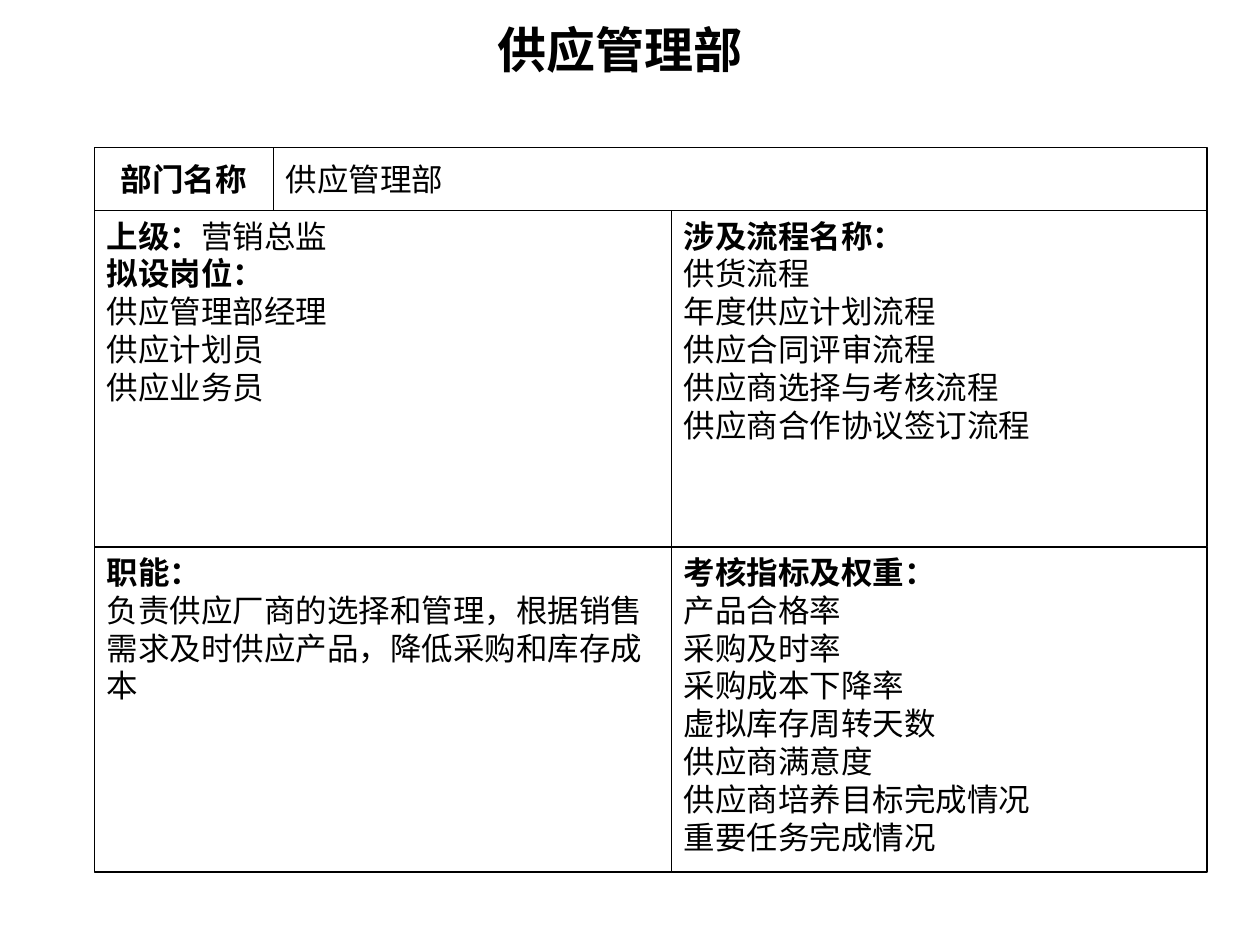
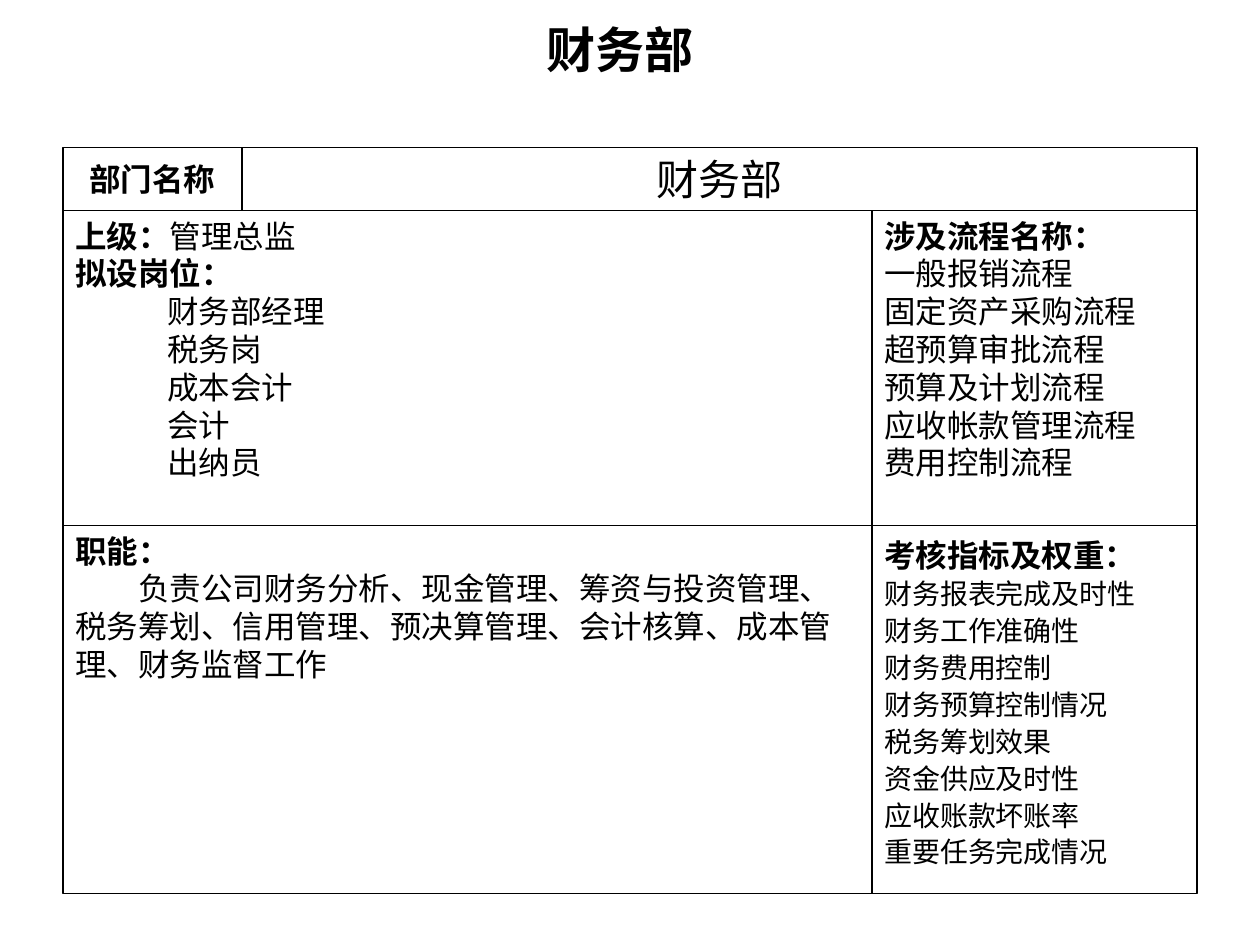
from pptx import Presentation
from pptx.dml.color import RGBColor
from pptx.enum.shapes import MSO_SHAPE as Shape
from pptx.enum.text import MSO_ANCHOR as Anchor, PP_ALIGN as Align
from pptx.oxml.ns import qn
from pptx.util import Inches, Pt

COLORS = {"paper": "FFFFFF", "ink": "000000"}
LATIN, CHINESE = "Times New Roman", "Noto Sans CJK SC"
BODY_SIZE = 18
LINE_HEIGHT = 1.2
CARD_TOP, HEADER_HEIGHT, LABEL_WIDTH = 1.17, 0.5, 1.42


def color(name):
    return RGBColor.from_string(COLORS[name])


def format_run(run, size, bold=False, font_name=LATIN):
    font = run.font
    font.name, font.size, font.bold = font_name, Pt(size), bold
    font.color.rgb = color("ink")
    east_asian = run._r.get_or_add_rPr().makeelement(qn("a:ea"), {"typeface": CHINESE})
    font._element.find(qn("a:latin")).addnext(east_asian)


def set_paragraph(paragraph, text, size=BODY_SIZE, bold=False, align=Align.LEFT,
                  font_name=LATIN, spacing=1.0, margin=0, first_line=0):
    paragraph.text = text
    paragraph.alignment = align
    paragraph.line_spacing = Pt(round(size * LINE_HEIGHT * spacing, 1))
    if margin or first_line:
        properties = paragraph._p.get_or_add_pPr()
        properties.set("marL", str(Inches(margin)))
        properties.set("indent", str(Inches(first_line)))
    for run in paragraph.runs:
        format_run(run, size, bold, font_name)


def add_cell(slide, left, top, width, height, anchor=Anchor.TOP):
    """Draw one outlined cell and return its text frame."""
    cell = slide.shapes.add_shape(
        Shape.RECTANGLE, Inches(left), Inches(top), Inches(width), Inches(height))
    cell.shadow.inherit = False
    cell.fill.solid()
    cell.fill.fore_color.rgb = color("paper")
    cell.line.color.rgb = color("ink")
    cell.line.width = Pt(0.75)
    text_frame = cell.text_frame
    text_frame.word_wrap = True
    text_frame.vertical_anchor = anchor
    return text_frame


def add_items(text_frame, items, **style):
    for item in items:
        set_paragraph(text_frame.add_paragraph(), item, **style)


def add_section(slide, box, heading, items, spacing=1.0, **style):
    """Fill a cell with a bold heading and plain lines below it."""
    text_frame = add_cell(slide, *box)
    set_paragraph(text_frame.paragraphs[0], heading, bold=True, spacing=spacing)
    add_items(text_frame, items, spacing=spacing, **style)


def add_positions(slide, box, superior, positions, margin):
    text_frame = add_cell(slide, *box)
    superior_line = text_frame.paragraphs[0]
    set_paragraph(superior_line, "上级：", bold=True)
    run = superior_line.add_run()
    run.text = superior
    format_run(run, BODY_SIZE)
    set_paragraph(text_frame.add_paragraph(), "拟设岗位：", bold=True)
    add_items(text_frame, positions, margin=margin)


def add_title(slide, title):
    text_box = slide.shapes.add_textbox(Inches(0.67), Inches(0.1), Inches(8.5), Inches(0.57))
    text_frame = text_box.text_frame
    text_frame.word_wrap = True
    text_frame.vertical_anchor = Anchor.MIDDLE
    set_paragraph(text_frame.paragraphs[0], title, size=28, bold=True,
                  align=Align.CENTER, font_name=CHINESE)


def add_header(slide, left, width, name, **name_style):
    label = add_cell(slide, left, CARD_TOP, LABEL_WIDTH, HEADER_HEIGHT, Anchor.MIDDLE)
    set_paragraph(label.paragraphs[0], "部门名称", bold=True, align=Align.CENTER)
    value = add_cell(slide, left + LABEL_WIDTH, CARD_TOP, width - LABEL_WIDTH,
                     HEADER_HEIGHT, Anchor.MIDDLE)
    set_paragraph(value.paragraphs[0], name, **name_style)


def add_department(presentation, department):
    slide = presentation.slides.add_slide(presentation.slide_layouts[6])
    name = department["name"]
    left = department["left"]
    left_width, right_width = department["column_widths"]
    upper_height, lower_height = department["row_heights"]
    right = left + left_width
    upper = CARD_TOP + HEADER_HEIGHT
    lower = upper + upper_height

    add_title(slide, name)
    add_header(slide, left, left_width + right_width, name, **department["name_style"])
    add_positions(slide, (left, upper, left_width, upper_height), department["superior"],
                  department["positions"], department["position_margin"])
    add_section(slide, (right, upper, right_width, upper_height),
                "涉及流程名称：", department["processes"])
    add_section(slide, (left, lower, left_width, lower_height), "职能：",
                [department["duty"]], first_line=department["duty_indent"])
    add_section(slide, (right, lower, right_width, lower_height), "考核指标及权重：",
                department["indicators"], font_name=CHINESE, **department["indicator_style"])


DEPARTMENTS = [
    {
        "name": "供应管理部",
        "name_style": {},
        "left": 0.75,
        "column_widths": (4.58, 4.25),
        "row_heights": (2.67, 2.58),
        "superior": "营销总监",
        "positions": ["供应管理部经理", "供应计划员", "供应业务员"],
        "position_margin": 0,
        "processes": ["供货流程", "年度供应计划流程", "供应合同评审流程",
                      "供应商选择与考核流程", "供应商合作协议签订流程"],
        "duty": "负责供应厂商的选择和管理，根据销售需求及时供应产品，降低采购和库存成本",
        "duty_indent": 0,
        "indicators": ["产品合格率", "采购及时率", "采购成本下降率", "虚拟库存周转天数",
                       "供应商满意度", "供应商培养目标完成情况", "重要任务完成情况"],
        "indicator_style": {},
    },
    {
        "name": "财务部",
        "name_style": {"size": 24, "align": Align.CENTER},
        "left": 0.5,
        "column_widths": (6.42, 2.58),
        "row_heights": (2.5, 2.92),
        "superior": "管理总监",
        "positions": ["财务部经理", "税务岗", "成本会计", "会计", "出纳员"],
        "position_margin": 0.73,
        "processes": ["一般报销流程", "固定资产采购流程", "超预算审批流程",
                      "预算及计划流程", "应收帐款管理流程", "费用控制流程"],
        "duty": "负责公司财务分析、现金管理、筹资与投资管理、税务筹划、信用管理、"
                "预决算管理、会计核算、成本管理、财务监督工作",
        "duty_indent": 0.5,
        "indicators": ["财务报表完成及时性", "财务工作准确性", "财务费用控制",
                       "财务预算控制情况", "税务筹划效果", "资金供应及时性",
                       "应收账款坏账率", "重要任务完成情况"],
        "indicator_style": {"size": 16, "spacing": 1.1},
    },
]


def main():
    presentation = Presentation()
    presentation.slide_width, presentation.slide_height = Inches(10), Inches(7.5)
    for department in DEPARTMENTS:
        add_department(presentation, department)
    presentation.save("out.pptx")


if __name__ == "__main__":
    main()
